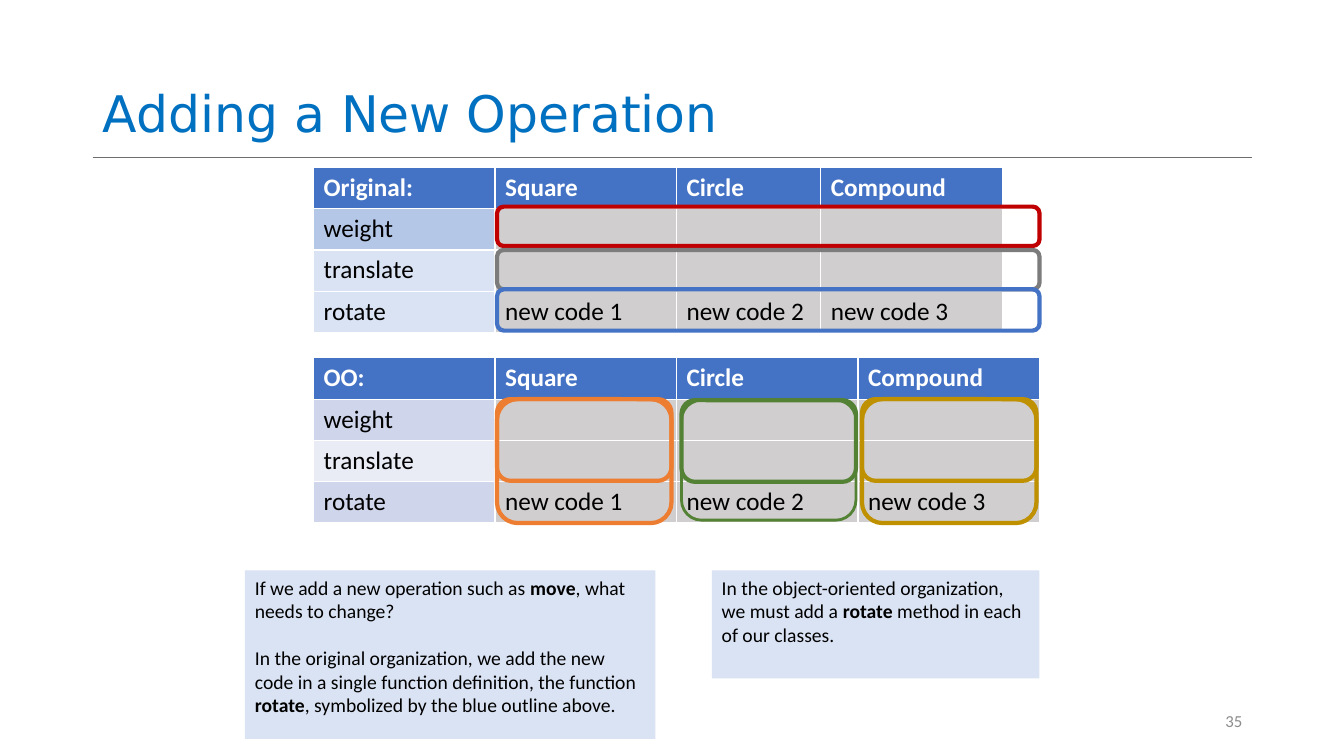
from dataclasses import dataclass
from pptx import Presentation
from pptx import util as u
from pptx.dml.color import RGBColor
from pptx.enum import shapes, text
from lxml import etree

TITLE = "Adding a New Operation"
PAGE_NUMBER = "35"
CLASSES = ["Square", "Circle", "Compound"]
OPERATIONS = [
    ["weight", "", "", ""],
    ["translate", "", "", ""],
    ["rotate", "new code 1", "new code 2", "new code 3"],
]
COLUMN, ROW = 1.8, 0.41
GRID_LEFT = 3.11
OUTLINE_LEFT = GRID_LEFT + COLUMN + 0.02
TABLES = [
    dict(label="Original:", top=1.66, columns=[1, 1, 0.795, 1],
         bands=["B4C7E7", "DAE3F3", "DAE3F3"]),
    dict(label="OO:", top=3.55, columns=[1, 1, 1, 1],
         bands=["CFD5EA", "E9EBF5", "CFD5EA"]),
]
FUNCTION_OUTLINES = [
    ("C00000", 2.05, 0.39),
    ("7C7C7C", 2.48, 0.39),
    ("4472C4", 2.87, 0.41),
]
CLASS_OUTLINES = [
    ("ED7D31", 4.93, 3.96, 1.23, 3),
    ("548235", 6.76, 3.97, 1.19, 2),
    ("BF9000", 8.55, 3.96, 1.23, 3),
]
NOTES = [
    ((2.43, 5.66, 4.07, 1.67), [
        [("If we add a new operation such as ", False), ("move", True),
         (", what needs to change?", False)],
        [("In the original organization, we add the new code in a single "
          "function definition, the function ", False), ("rotate", True),
         (", symbolized by the blue outline above.", False)],
    ]),
    ((7.06, 5.66, 3.25, 1.07), [
        [("In the object-oriented organization, we must add a ", False),
         ("rotate", True), (" method in each of our classes.", False)],
    ]),
]


@dataclass(frozen=True)
class Theme:
    title_font: str = "DejaVu Sans"
    body_font: str = "Calibri"
    title: str = "0070C0"
    rule: str = "6E6E6E"
    header: str = "4472C4"
    code: str = "D0CECE"
    note: str = "DAE3F3"
    ink: str = "000000"
    paper: str = "FFFFFF"
    faint: str = "8C8C8C"
    title_size: int = 36
    table_size: int = 18
    note_size: int = 14
    number_size: int = 12


THEME = Theme()


def inches(*lengths):
    return [u.Inches(length) for length in lengths]


def paint(target, color):
    target.fill.solid()
    target.fill.fore_color.rgb = RGBColor.from_string(color)


def style(font, size, color, name=THEME.body_font, bold=None):
    font.size, font.name, font.bold = u.Pt(size), name, bold
    font.color.rgb = RGBColor.from_string(color)


def add_title(page):
    title = page.shapes.title
    title.left, title.top, title.width, title.height = inches(0.92, 0.02, 11.5, 1.45)
    frame = title.text_frame
    frame.text = TITLE
    frame.auto_size = text.MSO_AUTO_SIZE.NONE
    frame.vertical_anchor = text.MSO_ANCHOR.BOTTOM
    para = frame.paragraphs[0]
    para.alignment, para.line_spacing = text.PP_ALIGN.LEFT, 0.9
    style(para.font, THEME.title_size, THEME.title, THEME.title_font)
    rule = page.shapes.add_connector(shapes.MSO_CONNECTOR.STRAIGHT,
                                     *inches(0.92, 1.56, 12.42, 1.56))
    rule.line.width = u.Pt(0.5)
    rule.line.color.rgb = RGBColor.from_string(THEME.rule)
    etree.SubElement(rule._element.spPr,
                     "{http://schemas.openxmlformats.org/drawingml/2006/main}effectLst")


def add_grid(page, label, top, columns, bands):
    rows = [[label] + CLASSES] + OPERATIONS
    table = page.shapes.add_table(
        len(rows), len(columns),
        *inches(GRID_LEFT, top, COLUMN * sum(columns), ROW * len(rows))).table
    table.horz_banding = False
    for column, share in zip(table.columns, columns):
        column.width = u.Inches(COLUMN * share)
    for r, words in enumerate(rows):
        for c, word in enumerate(words):
            cell = table.cell(r, c)
            cell.text = word
            header = r == 0
            paint(cell, THEME.header if header else THEME.code if c else bands[r - 1])
            style(cell.text_frame.paragraphs[0].font, THEME.table_size,
                  THEME.paper if header else THEME.ink, bold=header)


def add_outline(page, color, box, weight=3):
    outline = page.shapes.add_shape(shapes.MSO_SHAPE.ROUNDED_RECTANGLE, *inches(*box))
    outline.shadow.inherit = False
    outline.fill.background()
    outline.line.color.rgb = RGBColor.from_string(color)
    outline.line.width = u.Pt(weight)


def add_note(page, box, paragraphs):
    note = page.shapes.add_shape(shapes.MSO_SHAPE.RECTANGLE, *inches(*box))
    note.shadow.inherit = False
    note.line.fill.background()
    paint(note, THEME.note)
    frame = note.text_frame
    frame.word_wrap = True
    frame.vertical_anchor = text.MSO_ANCHOR.TOP
    for i, spans in enumerate(paragraphs):
        para = frame.add_paragraph() if i else frame.paragraphs[0]
        para.alignment = text.PP_ALIGN.LEFT
        para.space_before = u.Pt(17 if i else 0)
        style(para.font, THEME.note_size, THEME.ink)
        for words, bold in spans:
            span = para.add_run()
            span.text, span.font.bold = words, bold


def add_page_number(page):
    frame = page.shapes.add_textbox(*inches(9.42, 6.95, 3, 0.4)).text_frame
    frame.word_wrap = True
    frame.vertical_anchor = text.MSO_ANCHOR.MIDDLE
    para = frame.paragraphs[0]
    para.text, para.alignment = PAGE_NUMBER, text.PP_ALIGN.RIGHT
    style(para.font, THEME.number_size, THEME.faint)


def main():
    deck = Presentation()
    deck.slide_width, deck.slide_height = inches(13.33, 7.5)
    page = deck.slides.add_slide(deck.slide_layouts.get_by_name("Title Only"))
    add_title(page)
    for grid in TABLES:
        add_grid(page, **grid)
    add_page_number(page)
    for color, top, height in FUNCTION_OUTLINES:
        add_outline(page, color, (OUTLINE_LEFT, top, 5.38, height))
    for color, left, top, height, weight in CLASS_OUTLINES:
        add_outline(page, color, (left, top, 1.73, 0.81))
        add_outline(page, color, (left, top, 1.73, height), weight)
    for box, paragraphs in NOTES:
        add_note(page, box, paragraphs)
    deck.save("out.pptx")


if __name__ == "__main__":
    main()
